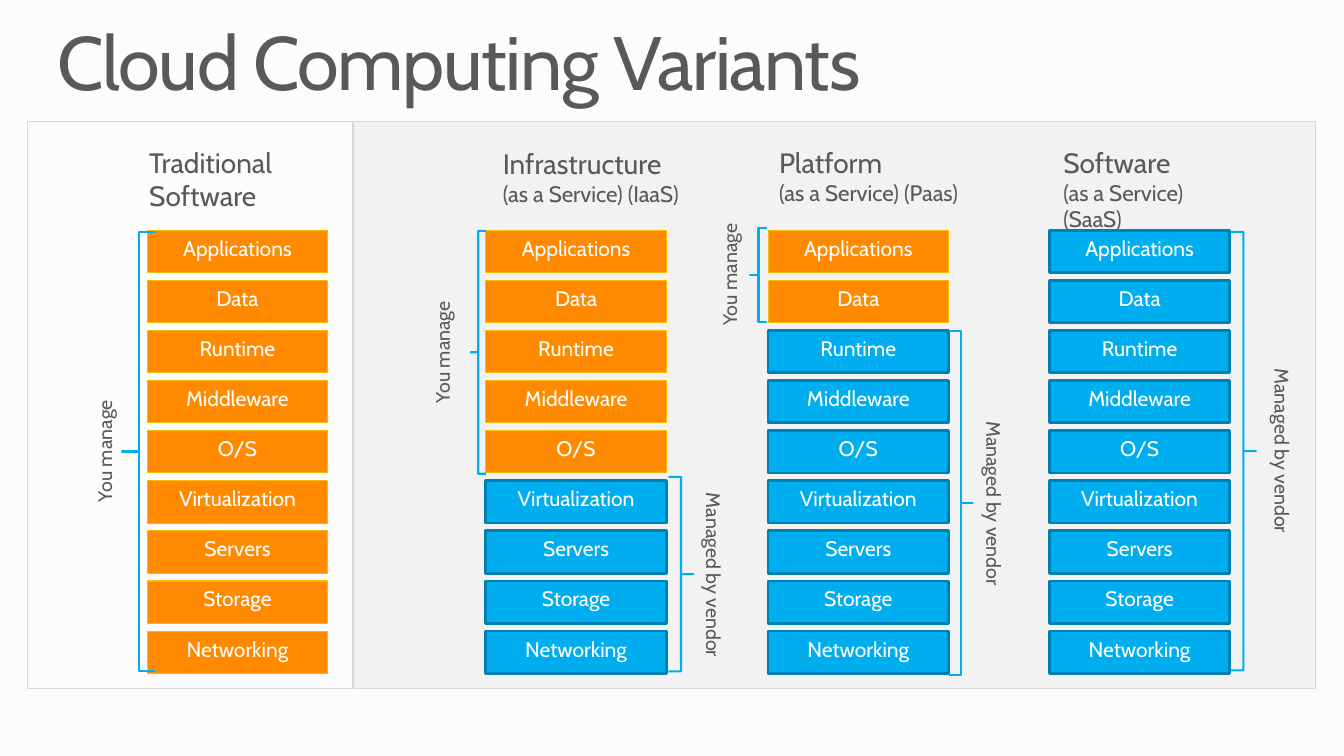
from dataclasses import dataclass

from pptx import Presentation
from pptx.dml.color import RGBColor
from pptx.enum import shapes as kinds, text as modes
from pptx.util import Pt


@dataclass(frozen=True)
class Theme:
    font: str = "Cabin"
    back: str = "FCFCFC"
    panel: str = "F2F2F2"
    edge: str = "D9D9D9"
    ink: str = "595959"
    white: str = "FFFFFF"
    brace: str = "00AEEF"
    own: tuple = ("FF8A00", "F9BC00", 0.75)
    vendor: tuple = ("00AEEF", "0081B1", 2)
    title: int = 54
    head: int = 20
    sub: int = 16
    layer: int = 15
    label: int = 14


THEME = Theme()
LAYERS = ("Applications", "Data", "Runtime", "Middleware", "O/S",
          "Virtualization", "Servers", "Storage", "Networking")
TOP, STEP, WIDE, HIGH = 164.6, 35.77, 129, 30.2

COLUMNS = (
    (105.1, 9, (106.6, 103.7, 147), ("Traditional Software",)),
    (347, 5, (352.1, 104.4, 152), ("Infrastructure", "(as a Service) (IaaS)")),
    (548.6, 2, (549.4, 103.7, 143), ("Platform", "(as a Service) (Paas)")),
    (749.5, 0, (752.4, 103.7, 145), ("Software", "(as a Service) (SaaS)")),
)
OWN_SPANS = (
    ((87.1, 165.6, 23.8, 313.9), (62.6, 280.1)),
    ((336.2, 164.9, 10.8, 173.5), (303.8, 209.5)),
    ((535.7, 162.7, 12.2, 67), (509, 154.1)),
)
VENDOR_SPANS = (
    ((477.4, 340.6, 18, 139), (490.3, 344.9)),
    ((678.2, 236.2, 16.6, 246.2), (690.5, 293.8)),
    ((879.1, 165.6, 18, 313.2), (896.4, 256.3)),
)


def rgb(code):
    return RGBColor.from_string(code)


def write(para, words, size, color):
    run = para.add_run()
    run.text = words
    run.font.name = THEME.font
    run.font.size = Pt(size)
    run.font.color.rgb = rgb(color)
    return run


def trim(frame, side=0, edge=0):
    frame.margin_left = frame.margin_right = Pt(side)
    frame.margin_top = frame.margin_bottom = Pt(edge)
    frame.vertical_anchor = modes.MSO_ANCHOR.TOP


def add_shape(slide, kind, area, fill, line, width):
    shape = slide.shapes.add_shape(kind, *map(Pt, area))
    shape.shadow.inherit = False
    if fill:
        shape.fill.solid()
        shape.fill.fore_color.rgb = rgb(fill)
    else:
        shape.fill.background()
    shape.line.color.rgb = rgb(line)
    shape.line.width = Pt(width)
    return shape


def add_title(slide, words):
    title = slide.shapes.title
    title.left, title.top = Pt(41), Pt(18)
    title.width, title.height = Pt(878.4), Pt(59)
    frame = title.text_frame
    trim(frame)
    para = frame.paragraphs[0]
    para.alignment = modes.PP_ALIGN.LEFT
    para.line_spacing = 0.9
    run = write(para, words, THEME.title, THEME.ink)
    run.font._element.set("spc", "-100")


def add_panel(slide, area, fill=None):
    add_shape(slide, kinds.MSO_SHAPE.RECTANGLE, area, fill, THEME.edge, 0.75)


def add_head(slide, area, lines):
    left, top, width = area
    box = slide.shapes.add_textbox(Pt(left), Pt(top), Pt(width), Pt(50.4))
    frame = box.text_frame
    frame.word_wrap = True
    trim(frame, 7.2 if len(lines) > 1 else 0)
    write(frame.paragraphs[0], lines[0], THEME.head, THEME.ink)
    for line in lines[1:]:
        write(frame.add_paragraph(), line, THEME.sub, THEME.ink)


def add_stack(slide, left, count):
    for row, name in enumerate(LAYERS):
        style = THEME.own if row < count else THEME.vendor
        area = (left, TOP + row * STEP, WIDE, HIGH)
        box = add_shape(slide, kinds.MSO_SHAPE.RECTANGLE, area, *style)
        trim(box.text_frame, 0, 3.6)
        para = box.text_frame.paragraphs[0]
        para.alignment = modes.PP_ALIGN.CENTER
        write(para, name, THEME.layer, THEME.white)


def add_brace(slide, kind, area):
    brace = add_shape(slide, kind, area, None, THEME.brace, 1.5)
    brace.adjustments[0] = 0
    brace.adjustments[1] = 0.5


def add_label(slide, spot, words, height, turn):
    left, top = spot
    box = slide.shapes.add_textbox(Pt(left), Pt(top), Pt(31.7), Pt(height))
    frame = box.text_frame
    frame.word_wrap = False
    trim(frame, 7.2, 3.6)
    frame._txBody.bodyPr.set("vert", turn)
    para = frame.paragraphs[0]
    para.alignment = modes.PP_ALIGN.CENTER
    write(para, words, THEME.label, THEME.ink)


def main():
    deck = Presentation()
    deck.slide_width, deck.slide_height = Pt(960), Pt(540)
    slide = deck.slides.add_slide(deck.slide_layouts[5])
    slide.background.fill.solid()
    slide.background.fill.fore_color.rgb = rgb(THEME.back)

    add_title(slide, "Cloud Computing Variants")
    add_panel(slide, (252.7, 87.1, 686.9, 404.6), THEME.panel)
    add_panel(slide, (19.4, 87.1, 232.6, 404.6))
    for left, count, area, lines in COLUMNS:
        add_head(slide, area, lines)
        add_stack(slide, left, count)
    for area, spot in OWN_SPANS:
        add_brace(slide, kinds.MSO_SHAPE.LEFT_BRACE, area)
        add_label(slide, spot, "You manage", 84.2, "vert270")
    for area, spot in VENDOR_SPANS:
        add_brace(slide, kinds.MSO_SHAPE.RIGHT_BRACE, area)
        add_label(slide, spot, "Managed by vendor", 133.2, "eaVert")
    deck.save("out.pptx")


if __name__ == "__main__":
    main()
